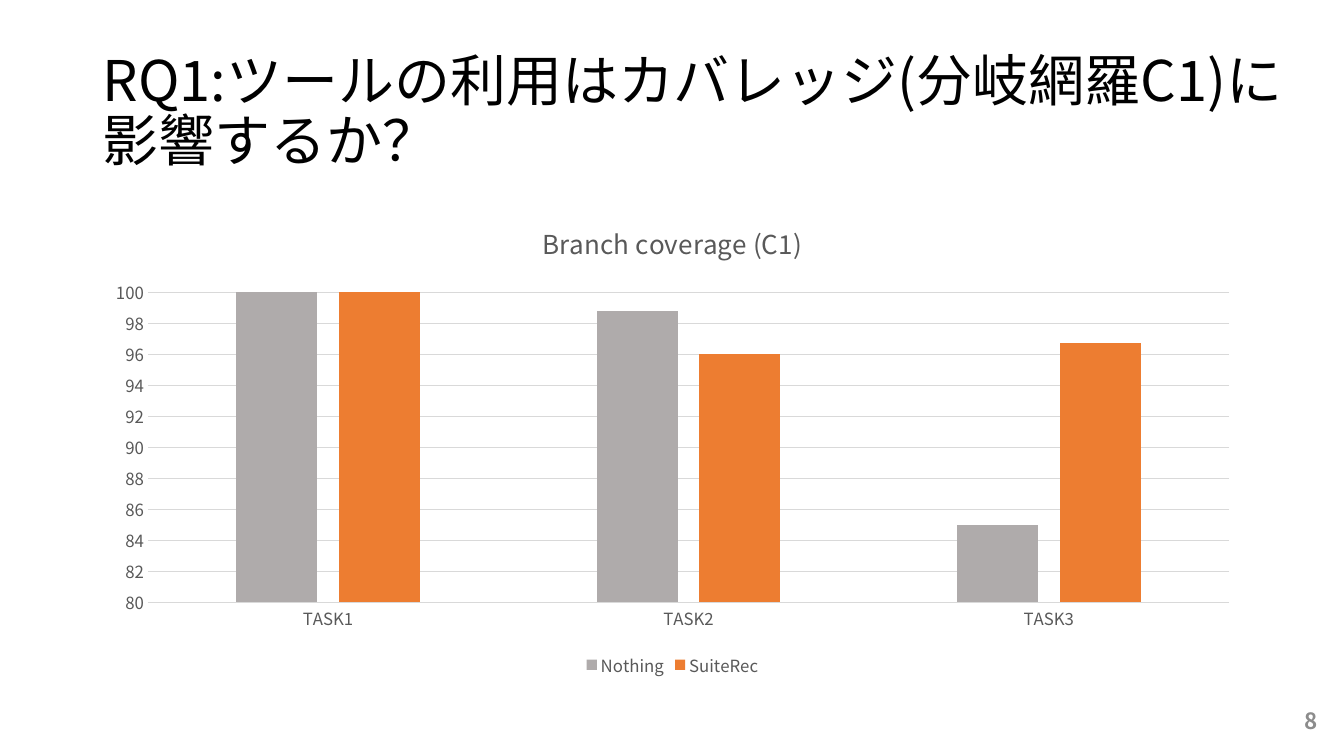
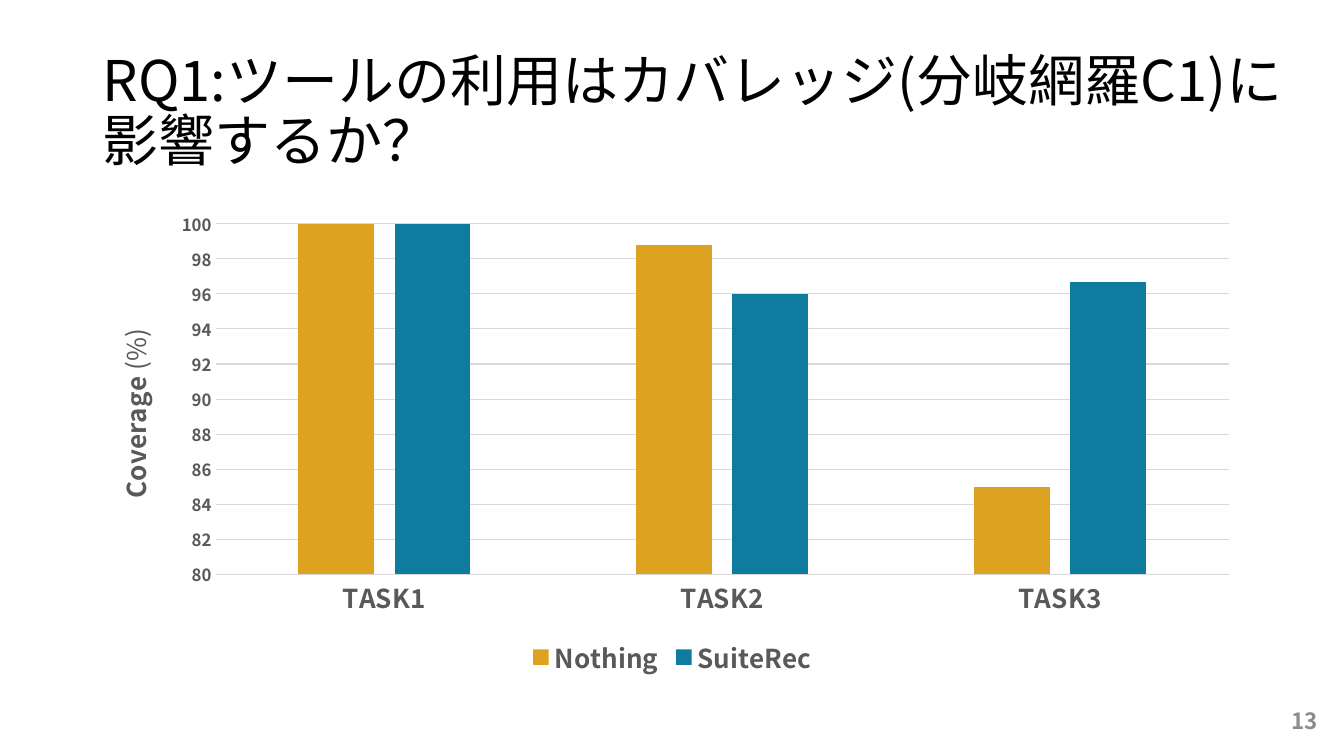
import pptx
import pptx.chart.data
import pptx.dml.color
import pptx.enum.chart
import pptx.enum.text
import pptx.oxml
import pptx.oxml.ns
import pptx.util
from pptx.util import Inches

FONT = "Noto Sans CJK JP"
BLACK, GREY, GRID, PAGE_GREY = "000000", "595959", "D9D9D9", "8C8C8C"
TITLE = "RQ1:ツールの利用はカバレッジ(分岐網羅C1)に影響するか？"
TASKS = ["TASK1", "TASK2", "TASK3"]
COVERAGE = {"Nothing": [100, 98.8, 85], "SuiteRec": [100, 96, 96.7]}
SMALL, LARGE = 12, 18.6


def rgb(color):
    return pptx.dml.color.RGBColor.from_string(color)


def style_font(font, size, color, bold=False):
    font.name = FONT
    font.size = pptx.util.Pt(size)
    font.bold = bold
    font.color.rgb = rgb(color)


def add_run(p, text, size, color, bold=False):
    r = p.add_run()
    r.text = text
    style_font(r.font, size, color, bold)
    ns = pptx.oxml.ns.nsdecls("a")
    latin = r.font._element.find(pptx.oxml.ns.qn("a:latin"))
    latin.addnext(pptx.oxml.parse_xml(f'<a:ea {ns} typeface="{FONT}"/>'))


def add_text(s, box, text, size, color, bold=False, align=None, spacing=None):
    tf = s.shapes.add_textbox(*map(Inches, box)).text_frame
    tf.word_wrap = True
    tf.vertical_anchor = pptx.enum.text.MSO_ANCHOR.MIDDLE
    p = tf.paragraphs[0]
    p.alignment = align
    p.line_spacing = spacing
    add_run(p, text, size, color, bold)


def add_frame(prs, number):
    """Add a slide with the shared title and its page number."""
    s = prs.slides.add_slide(prs.slide_layouts[6])
    add_text(s, (0.92, 0.4, 12.01, 1.45), TITLE, 40, BLACK, spacing=0.9)
    add_text(s, (10.17, 6.95, 3, 0.4), str(number), 16, PAGE_GREY, True,
             pptx.enum.text.PP_ALIGN.RIGHT)
    return s


def style_line(line):
    line.color.rgb = rgb(GRID)
    line.width = pptx.util.Pt(0.75)


def style_axes(chart, label_size, bold):
    no_tick = pptx.enum.chart.XL_TICK_MARK.NONE
    cat, val = chart.category_axis, chart.value_axis
    for axis, size in ((cat, label_size), (val, SMALL)):
        axis.major_tick_mark = axis.minor_tick_mark = no_tick
        style_font(axis.tick_labels.font, size, GREY, bold)
    style_line(cat.format.line)
    val.format.line.fill.background()
    val.minimum_scale, val.maximum_scale, val.major_unit = 80, 100, 2
    val.has_major_gridlines = True
    style_line(val.major_gridlines.format.line)


def add_coverage_chart(s, box, colors, label_size, bold=False):
    data = pptx.chart.data.CategoryChartData()
    data.categories = TASKS
    for name, values in COVERAGE.items():
        data.add_series(name, values)
    kind = pptx.enum.chart.XL_CHART_TYPE.COLUMN_CLUSTERED
    chart = s.shapes.add_chart(kind, *map(Inches, box), data).chart
    style_font(chart.font, 10, BLACK)
    chart.has_title = False
    style_axes(chart, label_size, bold)

    chart.has_legend = True
    chart.legend.position = pptx.enum.chart.XL_LEGEND_POSITION.BOTTOM
    chart.legend.include_in_layout = False
    style_font(chart.legend.font, label_size, GREY, bold)

    plot = chart.plots[0]
    plot.gap_width, plot.overlap, plot.vary_by_categories = 219, -27, False
    for series, color in zip(plot.series, colors):
        series.format.fill.solid()
        series.format.fill.fore_color.rgb = rgb(color)
        series.invert_if_negative = False
    return chart


def main():
    prs = pptx.Presentation()
    prs.slide_width, prs.slide_height = Inches(13.33), Inches(7.5)
    chart_box = (0.92, 2, 11.5, 4.76)

    s = add_frame(prs, 8)
    chart = add_coverage_chart(s, chart_box, ("AFABAB", "ED7D31"), SMALL)
    chart.has_title = True
    chart.chart_title.include_in_layout = False
    p = chart.chart_title.text_frame.paragraphs[0]
    add_run(p, "Branch coverage (C1)", LARGE, GREY)

    s = add_frame(prs, 13)
    chart = add_coverage_chart(s, chart_box, ("DEA221", "0F7B9E"), LARGE, True)
    p = chart.value_axis.axis_title.text_frame.paragraphs[0]
    add_run(p, "Coverage ", LARGE, GREY, True)
    add_run(p, "(%)", LARGE, GREY)

    prs.save("out.pptx")


if __name__ == "__main__":
    main()
